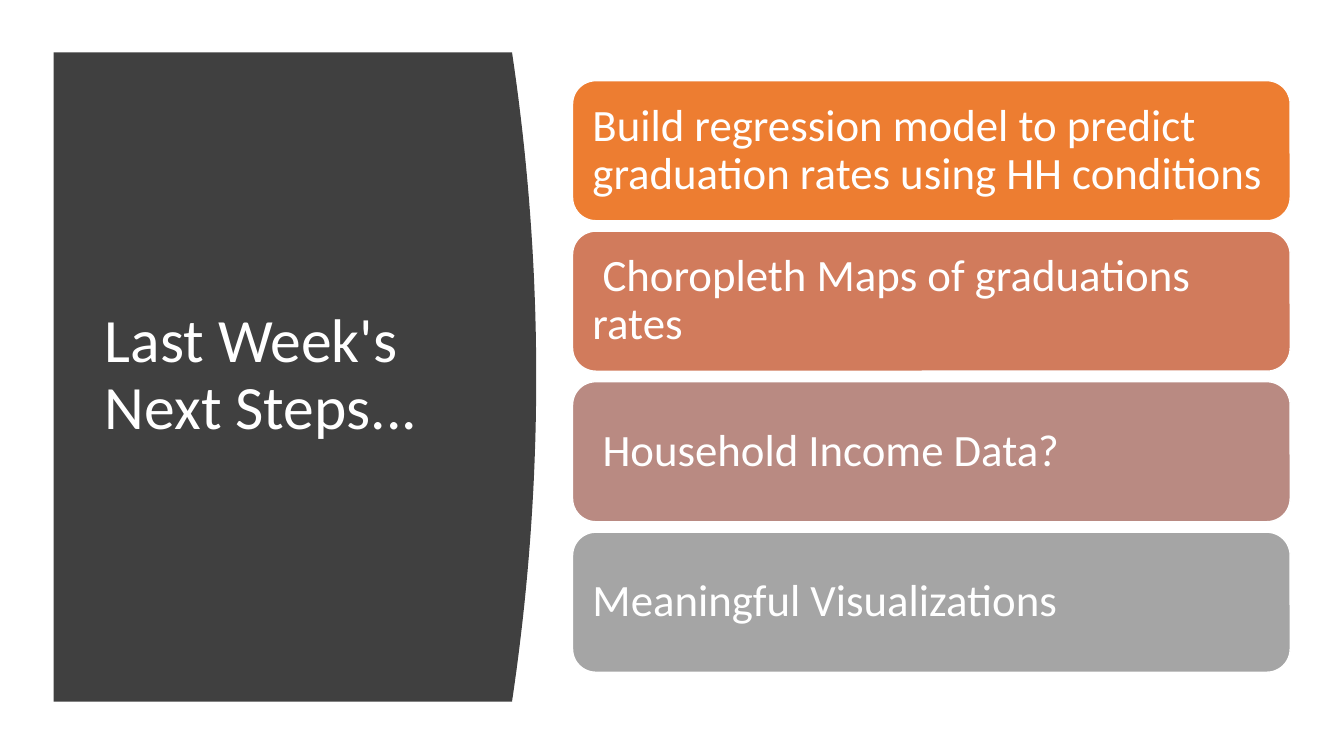
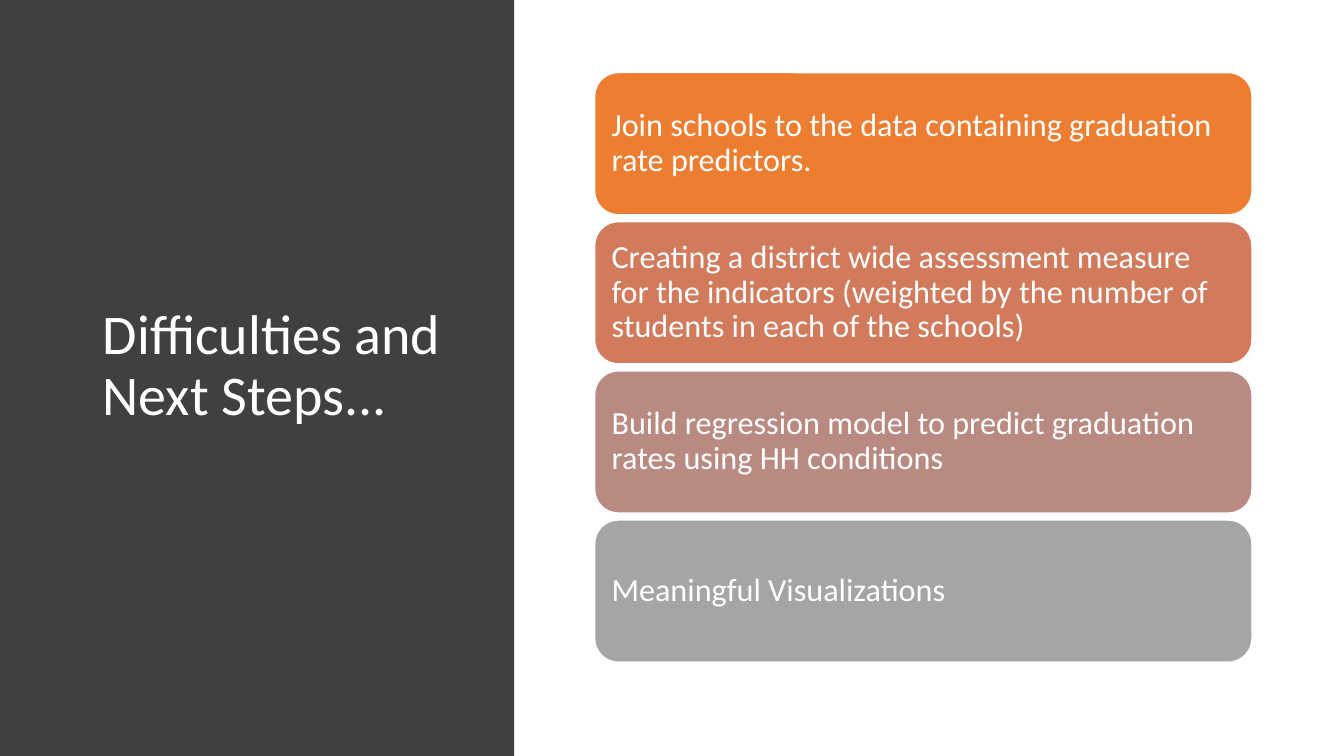
"""Build two slides that pair a dark title panel with a column of four cards."""
from pptx import Presentation
from pptx.dml.color import RGBColor
from pptx.enum.shapes import MSO_SHAPE
from pptx.enum.text import MSO_ANCHOR, MSO_AUTO_SIZE, PP_ALIGN
from pptx.util import Inches, Pt

WHITE = RGBColor(0xFF, 0xFF, 0xFF)
CHARCOAL = RGBColor(0x40, 0x40, 0x40)
CARD_COLOURS = [
    RGBColor(0xED, 0x7D, 0x31),
    RGBColor(0xD1, 0x7B, 0x5C),
    RGBColor(0xB9, 0x8A, 0x82),
    RGBColor(0xA5, 0xA5, 0xA5),
]
FONT = "Calibri"
CURVE_STEPS = 40

deck = Presentation()
deck.slide_width = Inches(13.33)
deck.slide_height = Inches(7.5)
COLUMN = deck.slide_width / 100
ROW = deck.slide_height / 100


def grid(left, top, width, height):
    """Turn columns and rows, each a hundredth of the slide, into lengths."""
    return int(left * COLUMN), int(top * ROW), int(width * COLUMN), int(height * ROW)


def write(box, text, size, inset=0.1, indent=0.0):
    """Put one left-aligned white paragraph in the vertical middle of a box."""
    frame = box.text_frame
    frame.word_wrap = True
    frame.auto_size = MSO_AUTO_SIZE.NONE
    frame.vertical_anchor = MSO_ANCHOR.MIDDLE
    frame.margin_left = frame.margin_right = Inches(inset)
    frame.margin_top = frame.margin_bottom = Inches(inset)
    para = frame.paragraphs[0]
    para.alignment = PP_ALIGN.LEFT
    para.line_spacing = 0.9
    if indent:
        para._p.get_or_add_pPr().set("indent", str(Inches(indent)))
    span = para.add_run()
    span.text = text
    span.font.name = FONT
    span.font.size = Pt(size)
    span.font.color.rgb = WHITE


PAGES = [
    {
        "title": "Last Week's Next Steps...",
        "title_area": (7.05, 14.8, 28.05, 69.87),
        "title_size": 44,
        "panel": (4, 6.93, 34.1, 85.87),
        "bulge": 1.8,
        "first_card": (42.6, 10.67, 53.4, 18.53),
        "card_gap": 1.38,
        "card_size": 32,
        "card_inset": 0.13,
        "cards": [
            ("Build regression model to predict graduation rates using HH conditions", 0),
            ("Choropleth Maps of graduations rates", 0.1),
            ("Household Income Data?", 0.1),
            ("Meaningful Visualizations", 0),
        ],
    },
    {
        "title": "Difficulties and Next Steps...",
        "title_area": (6.9, 9.07, 27.53, 78.93),
        "title_size": 40,
        "panel": (0, 0, 38.25, 100),
        "bulge": 0,
        "first_card": (44.25, 9.6, 48.9, 18.8),
        "card_gap": 0.93,
        "card_size": 23,
        "card_inset": 0.1,
        "cards": [
            ("Join schools to the data containing graduation rate predictors.", 0),
            ("Creating a district wide assessment measure for the indicators "
             "(weighted by the number of students in each of the schools)", 0),
            ("Build regression model to predict graduation rates using HH conditions", 0),
            ("Meaningful Visualizations", 0),
        ],
    },
]

for content in PAGES:
    page = deck.slides.add_slide(deck.slide_layouts[5])
    title = page.shapes.title
    title.left, title.top, title.width, title.height = grid(*content["title_area"])
    write(title, content["title"], content["title_size"])

    left, top, width, height = grid(*content["panel"])
    if content["bulge"]:
        bulge = content["bulge"] * COLUMN
        curve = []
        for step in range(CURVE_STEPS + 1):
            share = step / CURVE_STEPS
            reach = 4 * share * (1 - share) * bulge
            curve.append((int(left + width + reach), int(top + share * height)))
        outline = page.shapes.build_freeform(left, top)
        outline.add_line_segments(curve + [(left, top + height)], close=True)
        panel = outline.convert_to_shape()
    else:
        panel = page.shapes.add_shape(MSO_SHAPE.RECTANGLE, left, top, width, height)
    panel.shadow.inherit = False
    panel.fill.solid()
    panel.fill.fore_color.rgb = CHARCOAL
    panel.line.fill.background()
    title.element.addprevious(panel.element)

    left, top, width, height = content["first_card"]
    pitch = height + content["card_gap"]
    for row, (colour, (text, indent)) in enumerate(zip(CARD_COLOURS, content["cards"])):
        area = grid(left, top + row * pitch, width, height)
        card = page.shapes.add_shape(MSO_SHAPE.ROUNDED_RECTANGLE, *area)
        card.shadow.inherit = False
        card.fill.solid()
        card.fill.fore_color.rgb = colour
        card.line.color.rgb = WHITE
        card.line.width = Pt(1)
        write(card, text, content["card_size"], inset=content["card_inset"], indent=indent)

deck.save("out.pptx")
